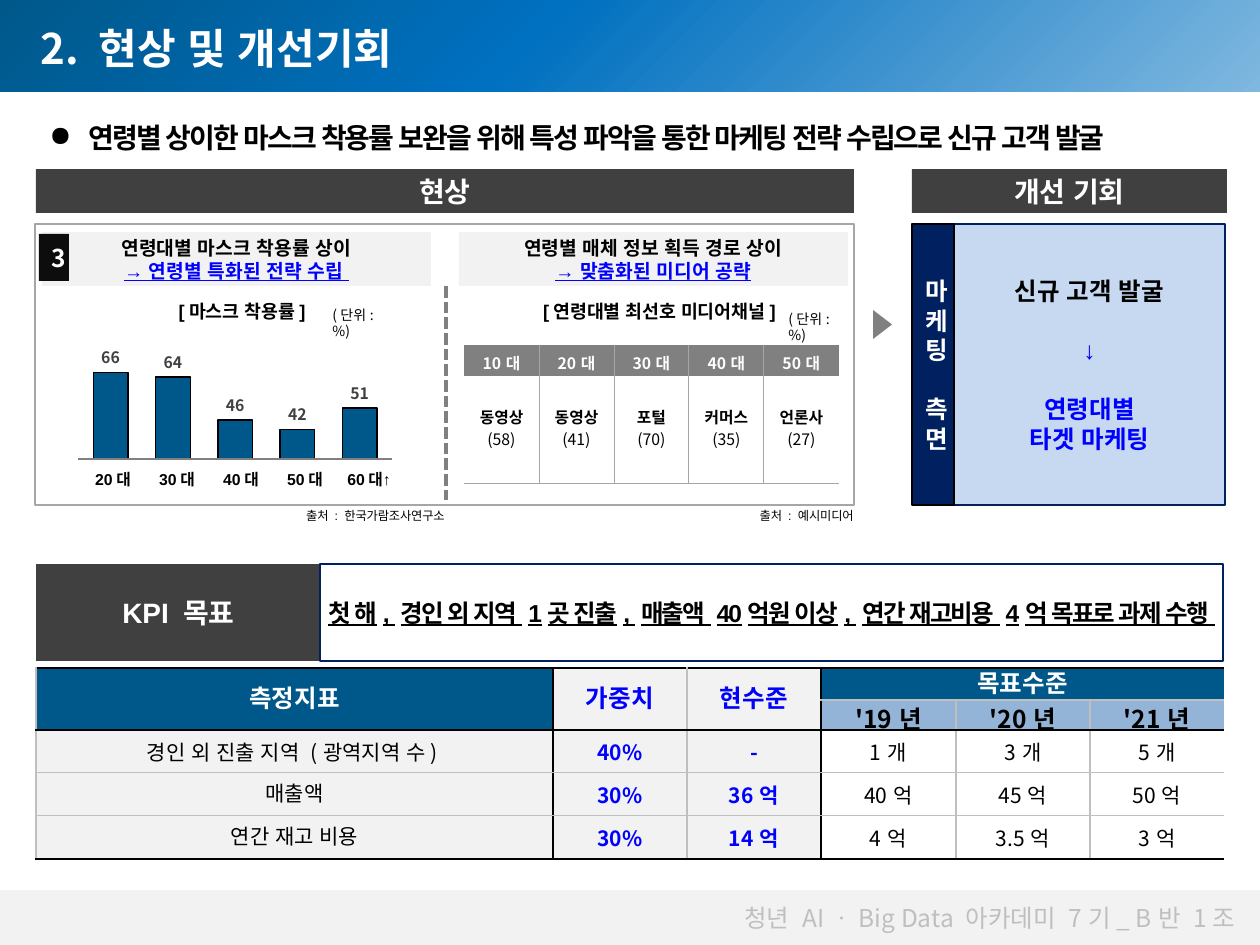
import pptx
import pptx.chart.data
import pptx.dml.color
import pptx.enum.chart
import pptx.enum.dml
import pptx.enum.shapes
import pptx.enum.text
import pptx.oxml
import pptx.oxml.ns
import pptx.util
from lxml import etree

PX = 914400 / 126
NOTO, ARIAL = "Noto Sans CJK KR", "Arial"
NO_STYLE = "{2D5ABB26-0587-4C30-8999-92F81FD0307C}"
COLORS = {
    "white": "FFFFFF", "black": "000000", "ink": "0D0D0D", "charcoal": "404040",
    "gray": "808080", "border": "A6A6A6", "silver": "BFBFBF", "pale": "F2F2F2",
    "teal": "00588A", "azure": "0070C0", "blue": "0000FF", "navy": "002060",
    "sky": "C6D9F1", "steel": "93B3D7",
}
ALIGN = pptx.enum.text.PP_ALIGN
ANCHOR = pptx.enum.text.MSO_ANCHOR
SHAPE = pptx.enum.shapes.MSO_SHAPE


def px(length):
    return pptx.util.Emu(round(length * PX))


def color(name):
    return pptx.dml.color.RGBColor.from_string(COLORS[name])


def sub(parent, tag, **attributes):
    return etree.SubElement(parent, pptx.oxml.ns.qn(tag), attributes)


def paint(fill, name):
    if name:
        fill.solid()
        fill.fore_color.rgb = color(name)
    else:
        fill.background()


def write(frame, lines, size, font=ARIAL, ink="black", bold=True, align=ALIGN.CENTER, spacing=None):
    """Each line is a text or a (text, changes) pair."""
    for index, line in enumerate(lines):
        text, changes = (line, {}) if isinstance(line, str) else line
        para = frame.paragraphs[0] if index == 0 else frame.add_paragraph()
        para.alignment = align
        if "before" in changes:
            para.space_before = pptx.util.Pt(changes["before"])
        span = para.add_run()
        span.text = text
        span.font.name, span.font.size = font, pptx.util.Pt(size)
        span.font.bold = changes.get("bold", bold)
        span.font.underline = changes.get("underline", False)
        span.font.color.rgb = color(changes.get("ink", ink))
        properties = span._r.get_or_add_rPr()
        properties.find(pptx.oxml.ns.qn("a:latin")).addnext(
            pptx.oxml.parse_xml('<a:ea %s typeface="Arial"/>' % pptx.oxml.ns.nsdecls("a")))
        if spacing:
            properties.set("spc", str(spacing))


def add_box(page, place, fill=None, line=None, lines=(), size=14, inset=13, kind=SHAPE.RECTANGLE, **style):
    box = page.shapes.add_shape(kind, *map(px, place))
    box.shadow.inherit = False
    paint(box.fill, fill)
    paint(box.line.fill, line)
    if line:
        box.line.width = pptx.util.Pt(0.75)
    frame = box.text_frame
    frame.word_wrap = True
    frame.vertical_anchor = ANCHOR.MIDDLE
    frame.margin_left = frame.margin_right = px(inset)
    write(frame, lines, size, **style)
    return box


def add_text(page, place, text, size, wrap=False, **style):
    box = page.shapes.add_textbox(*map(px, place))
    box.text_frame.word_wrap = wrap
    write(box.text_frame, [text], size, **style)
    return box.text_frame.paragraphs[0]


def add_line(page, start, end, width, dash=None):
    line = page.shapes.add_connector(pptx.enum.shapes.MSO_CONNECTOR.STRAIGHT, *map(px, start + end))
    line.line.color.rgb = color("gray")
    line.line.width = pptx.util.Pt(width)
    if dash:
        line.line.dash_style = dash
    sub(line._element.spPr, "a:effectLst")


def add_table(page, left, top, columns, rows):
    frame = page.shapes.add_table(len(rows), len(columns), px(left), px(top), px(sum(columns)), px(sum(rows)))
    table = frame.table
    table.first_row = table.horz_banding = False
    table._tbl.tblPr.find(pptx.oxml.ns.qn("a:tableStyleId")).text = NO_STYLE
    for column, width in zip(table.columns, columns):
        column.width = px(width)
    for row, height in zip(table.rows, rows):
        row.height = px(height)
    return table


def fill_cell(cell, lines, size, fill=None, borders=None, margins=(13, 6), **style):
    """Borders map a side (L, R, T, B) to a colour and a width."""
    properties = cell._tc.get_or_add_tcPr()
    for side in "LRTB":
        name, width = (borders or {}).get(side) or (None, 0)
        edge = sub(properties, "a:ln" + side, w=str(round(width * 12700)))
        if name:
            sub(sub(edge, "a:solidFill"), "a:srgbClr", val=COLORS[name])
        else:
            sub(edge, "a:noFill")
    paint(cell.fill, fill)
    cell.vertical_anchor = ANCHOR.MIDDLE
    cell.margin_left = cell.margin_right = px(margins[0])
    cell.margin_top = cell.margin_bottom = px(margins[1])
    write(cell.text_frame, lines, size, **style)


def add_background(page):
    add_box(page, (0, 859, 1260, 86), "pale")
    band = add_box(page, (0, 0, 1260, 859), "teal")
    band.fill.gradient()
    band.fill.gradient_angle = 315
    stops = band._element.spPr.find(".//" + pptx.oxml.ns.qn("a:gsLst"))
    for stop in list(stops):
        stops.remove(stop)
    for position, name in ((0, "teal"), (27, "azure"), (100, "white")):
        sub(sub(stops, "a:gs", pos=str(position * 1000)), "a:srgbClr", val=COLORS[name])
    add_box(page, (0, 92, 1260, 798), "white")
    add_text(page, (653, 897, 595, 43), "청년 AIㆍBig Data 아카데미 7기_ B반 1조", 14,
             font=NOTO, ink="silver", bold=False, align=ALIGN.RIGHT)


def add_heading(page):
    title = page.shapes.title
    title.element.getparent().append(title.element)
    title.left, title.top, title.width, title.height = map(px, (28, 16, 527, 63))
    title.text_frame.vertical_anchor = ANCHOR.MIDDLE
    write(title.text_frame, ["2. 현상 및 개선기회"], 24, font=NOTO, ink="white", align=ALIGN.LEFT)
    para = add_text(
        page, (37, 98, 1210, 139),
        "연령별 상이한 마스크 착용률 보완을 위해 특성 파악을 통한 마케팅 전략 수립으로 신규 고객 발굴",
        16, wrap=True, align=ALIGN.LEFT, spacing=-100)
    properties = para._p.get_or_add_pPr()
    properties.set("marL", str(px(39)))
    properties.set("indent", str(-px(39)))
    sub(properties, "a:buChar", char="●")
    para.line_spacing = 1.5


def add_wear_chart(page):
    ages = ["20대", "30대", "40대", "50대", "60대↑"]
    data = pptx.chart.data.CategoryChartData()
    data.categories = ages
    data.add_series("마스크 착용률", (66, 64, 46, 42, 51))
    chart = page.shapes.add_chart(pptx.enum.chart.XL_CHART_TYPE.COLUMN_CLUSTERED,
                                  *map(px, (58, 339, 358, 123)), data).chart
    chart.has_legend = chart.has_title = False
    chart.font.name, chart.font.size = NOTO, pptx.util.Pt(10)
    chart.category_axis.visible = chart.value_axis.visible = False
    chart.value_axis.has_major_gridlines = False
    chart.value_axis.minimum_scale, chart.value_axis.maximum_scale = 30, 80
    chart.value_axis.major_unit = 40
    plot = chart.plots[0]
    plot.gap_width, plot.vary_by_categories = 80, False
    bars = plot.series[0].format
    paint(bars.fill, "teal")
    bars.line.color.rgb = color("black")
    bars.line.width = pptx.util.Pt(0.75)
    plot.has_data_labels = True
    labels = plot.data_labels
    labels.show_value = True
    labels.position = pptx.enum.chart.XL_LABEL_POSITION.OUTSIDE_END
    labels.font.name, labels.font.size, labels.font.bold = NOTO, pptx.util.Pt(9), True
    labels.font.color.rgb = color("charcoal")
    # Fixed inner plot area
    area = chart._chartSpace.chart.plotArea
    for old in area.findall(pptx.oxml.ns.qn("c:layout")):
        area.remove(old)
    layout = etree.Element(pptx.oxml.ns.qn("c:layout"))
    area.insert(0, layout)
    manual = sub(layout, "c:manualLayout")
    for tag, value in (("layoutTarget", "inner"), ("xMode", "edge"), ("yMode", "edge"),
                       ("x", "0.06"), ("y", "0"), ("w", "0.87"), ("h", "0.97")):
        sub(manual, "c:" + tag, val=value)
    add_line(page, (78, 459), (392, 459), 1.5)
    table = add_table(page, 81, 464, [64] * 5, [33])
    for index, age in enumerate(ages):
        fill_cell(table.cell(0, index), [age], 9, margins=(0, 6))


def add_media_table(page):
    media = [("10대", "동영상", 58), ("20대", "동영상", 41), ("30대", "포털", 70),
             ("40대", "커머스", 35), ("50대", "언론사", 27)]
    table = add_table(page, 464, 345, [75] * 5, [31, 107])
    edge = ("border", 0.5)
    for index, (age, channel, share) in enumerate(media):
        sides = {"L": edge if index else None, "R": edge if index < 4 else None}
        fill_cell(table.cell(0, index), [age], 9, "gray", sides, font=NOTO, ink="white")
        fill_cell(table.cell(1, index), [channel, (f"({share})", {"bold": False})], 9,
                  borders={**sides, "B": edge}, font=NOTO)


def add_situation(page):
    add_box(page, (35, 224, 819, 281), line="border")
    add_box(page, (36, 169, 818, 44), "charcoal", lines=["현상"], size=16, ink="white")
    panels = [(42, "연령대별 마스크 착용률 상이", "→ 연령별 특화된 전략 수립 "),
              (459, "연령별 매체 정보 획득 경로 상이", "→ 맞춤화된 미디어 공략")]
    for left, finding, action in panels:
        add_box(page, (left, 232, 389, 54), "pale", size=11, font=NOTO,
                lines=[finding, (action, {"ink": "blue", "underline": True})])
    add_box(page, (39, 234, 30, 47), "ink", lines=["3"], font=NOTO, ink="white")
    add_line(page, (446, 286), (446, 500), 2.25, pptx.enum.dml.MSO_LINE.SQUARE_DOT)
    add_text(page, (164, 294, 156, 35), "[마스크 착용률]", 10.5)
    add_text(page, (522, 294, 275, 35), "[연령대별 최선호 미디어채널]", 10.5)
    for left, top in ((320, 300), (776, 304)):
        add_text(page, (left, top, 78, 30), "(단위:%)", 8, wrap=True, font=NOTO, bold=False, align=ALIGN.LEFT)
    for left, width, name in ((284, 173, "한국가람조사연구소"), (742, 124, "예시미디어")):
        source = add_text(page, (left, 503, width, 28), f"출처 : {name}", 7, bold=False, align=ALIGN.RIGHT)
        source.line_spacing = pptx.util.Pt(8)
    add_wear_chart(page)
    add_media_table(page)


def add_opportunity(page):
    arrow = add_box(page, (868, 315, 29, 19), "gray", kind=SHAPE.ISOSCELES_TRIANGLE)
    arrow.rotation = 90
    add_box(page, (912, 169, 315, 44), "charcoal", lines=["개선 기회"], size=16, ink="white")
    gap = {"before": 17}
    add_box(page, (954, 224, 271, 281), "sky", "navy", inset=5, lines=[
        "신규 고객 발굴", ("↓", {**gap, "ink": "blue"}),
        ("연령대별", {**gap, "ink": "blue"}), ("타겟 마케팅", {"ink": "blue"})])
    add_box(page, (912, 224, 42, 281), "navy", "black", lines=["마케팅", ("측면", gap)], ink="white")


def add_targets(page):
    add_box(page, (36, 564, 285, 97), "charcoal", lines=["KPI 목표"], size=16, ink="white")
    goal = "첫 해, 경인 외 지역 1곳 진출, 매출액 40억원 이상, 연간 재고비용 4억 목표로 과제 수행 "
    add_box(page, (320, 564, 903, 97), line="navy", lines=[(goal, {"underline": True})], inset=5, spacing=-100)
    table = add_table(page, 36, 668, [517] + [134] * 2 + [135, 134, 134], [32, 30] + [43] * 3)
    for column in range(3):
        table.cell(0, column).merge(table.cell(1, column))
    table.cell(0, 3).merge(table.cell(0, 5))
    strong, thin = ("black", 1), ("silver", 0.75)
    rows = [["측정지표", "가중치", "현수준", "목표수준", "", ""],
            ["", "", "", "'19년", "'20년", "'21년"],
            ["경인 외 진출 지역 (광역지역 수) ", "40%", "-", "1개", "3개", "5개"],
            ["매출액", "30%", "36억", "40억", "45억", "50억"],
            ["연간 재고 비용", "30%", "14억", "4억", "3.5억", "3억"]]
    for row, texts in enumerate(rows):
        for column, text in enumerate(texts):
            cell = table.cell(row, column)
            if cell.is_spanned:
                continue
            right, bottom = column + cell.span_width, row + cell.span_height
            borders = {"L": strong if column in (1, 3) else thin,
                       "R": strong if right in (1, 3) else thin if right < 6 else None,
                       "T": strong if row in (0, 2) else thin,
                       "B": strong if bottom in (2, 5) else thin}
            blue = column in (1, 2)
            fill, ink = "pale" if column < 3 else None, "blue" if blue else "black"
            if row == 0 and not blue:
                fill, ink = "teal", "white"
            elif row == 1:
                fill = "steel"
            fill_cell(cell, [text], 14 if row < 2 else 12, fill, borders, (13, 0),
                      font=NOTO, ink=ink, bold=row < 2 or blue)


def main():
    deck = pptx.Presentation()
    deck.slide_width, deck.slide_height = px(1260), px(945)
    page = deck.slides.add_slide(deck.slide_layouts[5])
    add_background(page)
    add_heading(page)
    add_situation(page)
    add_opportunity(page)
    add_targets(page)
    deck.save("out.pptx")


if __name__ == "__main__":
    main()
